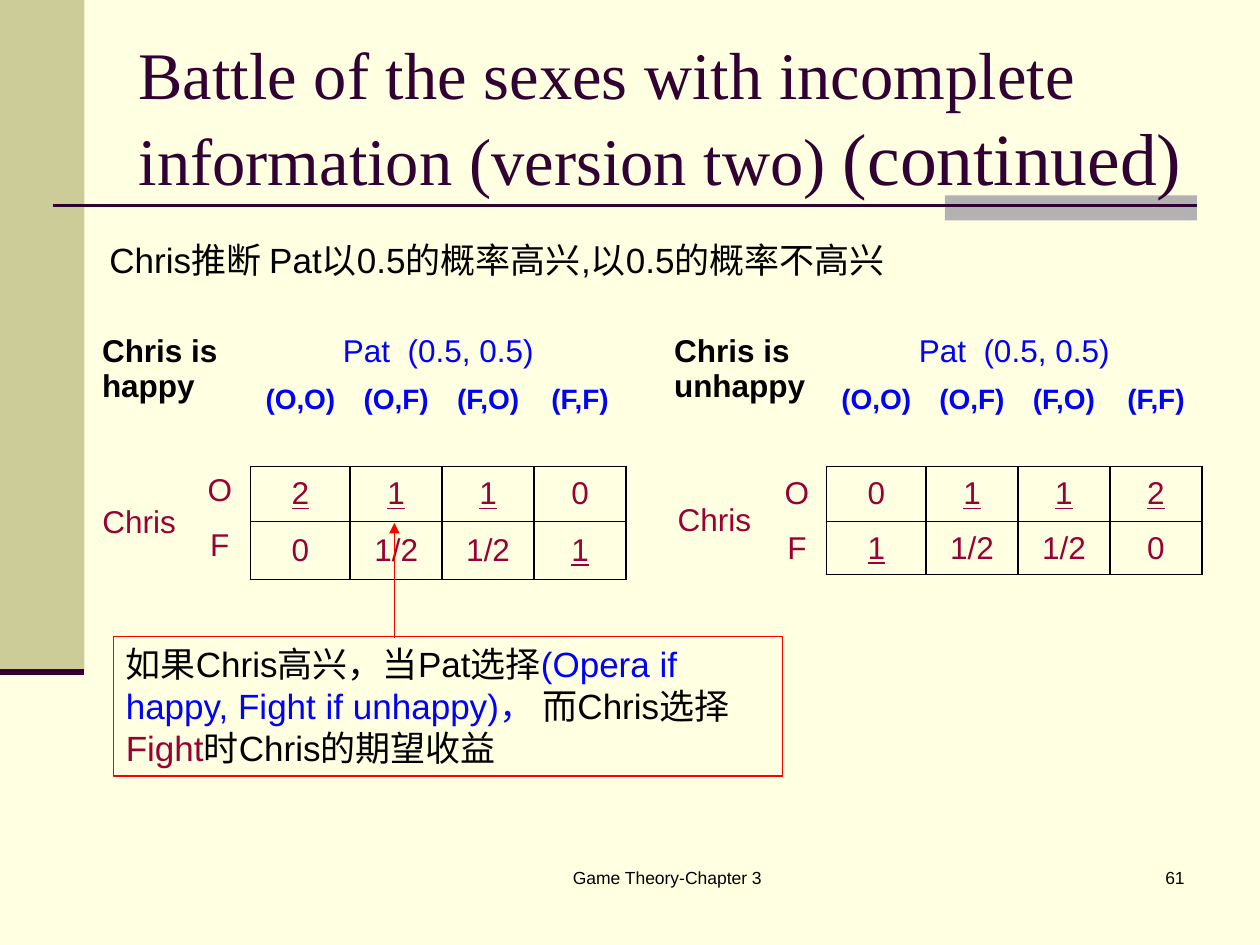
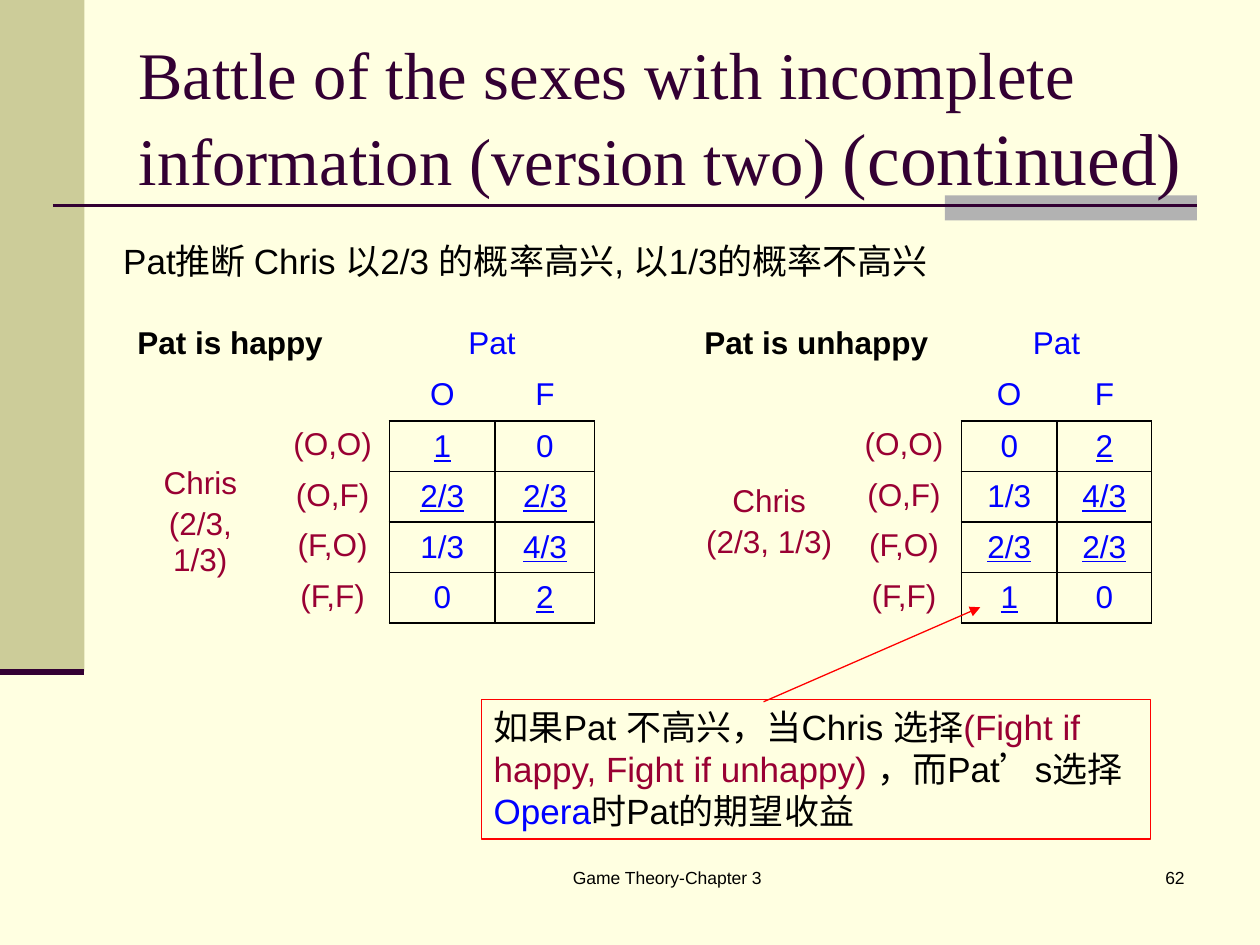
from lxml import etree
from pptx import Presentation
from pptx.dml.color import RGBColor
from pptx.enum import shapes, text
from pptx.oxml.ns import qn
from pptx.util import Inches, Pt

CREAM = RGBColor(0xFF, 0xFF, 0xE1)
OLIVE = RGBColor(0xCC, 0xCC, 0x99)
GRAY = RGBColor(0xB2, 0xB2, 0xB2)
PLUM = RGBColor(0x33, 0x00, 0x33)
BLACK = RGBColor(0x00, 0x00, 0x00)
BLUE = RGBColor(0x00, 0x00, 0xFF)
CRIMSON = RGBColor(0x99, 0x00, 0x33)
RED = RGBColor(0xFF, 0x00, 0x00)

BODY_FONT, TITLE_FONT = "Arial", "Times New Roman"
NO_STYLE = "{2D5ABB26-0587-4C30-8999-92F81FD0307C}"
LEFT, CENTER, RIGHT = (text.PP_ALIGN.LEFT, text.PP_ALIGN.CENTER,
                       text.PP_ALIGN.RIGHT)
TOP, MIDDLE = text.MSO_ANCHOR.TOP, text.MSO_ANCHOR.MIDDLE


def value(payoff):
    """Number behind a payoff such as 2 or 4/3."""
    top, _, bottom = payoff.partition("/")
    return int(top) / int(bottom or 1)


class Deck:
    def __init__(self):
        self.prs = Presentation()
        self.prs.slide_width, self.prs.slide_height = Inches(10), Inches(7.5)
        self.slide = None

    def new_slide(self, number):
        self.slide = self.prs.slides.add_slide(self.prs.slide_layouts[5])
        fill = self.slide.background.fill
        fill.solid()
        fill.fore_color.rgb = CREAM
        # Side band and title rule
        self.band(0, 0, 0.67, 5.33, OLIVE)
        self.band(7.5, 1.55, 2, 0.2, GRAY)
        self.line((0.42, 1.63), (9.5, 1.63), PLUM, 1.5)
        self.line((0, 5.33), (0.67, 5.33), PLUM, 3.5)
        self.title("Battle of the sexes with incomplete information "
                   "(version two) ", "(continued)")
        # Footer
        self.textbox(3.67, 6.83, 3.25, 0.5, "Game Theory-Chapter 3", 10, CENTER)
        self.textbox(7.42, 6.83, 2.08, 0.5, number, 10, RIGHT)

    def run(self, p, words, size, color=BLACK, bold=False, underline=False,
            font=BODY_FONT):
        r = p.add_run()
        r.text = words
        r.font.name, r.font.size = font, Pt(size)
        r.font.color.rgb = color
        r.font.bold, r.font.underline = bold, underline

    def title(self, main, suffix):
        sp = self.slide.shapes.title
        sp.left, sp.top = Inches(1), Inches(0.3)
        sp.width, sp.height = Inches(8.5), Inches(1.25)
        tf = sp.text_frame
        tf.auto_size = text.MSO_AUTO_SIZE.NONE
        tf.vertical_anchor = MIDDLE
        p = tf.paragraphs[0]
        p.alignment = LEFT
        self.run(p, main, 38, PLUM, font=TITLE_FONT)
        self.run(p, suffix, 42, PLUM, font=TITLE_FONT)
        # The title lies over the bands
        self.slide.shapes._spTree.append(sp._element)

    def band(self, x, y, w, h, color):
        sp = self.slide.shapes.add_shape(
            shapes.MSO_SHAPE.RECTANGLE, Inches(x), Inches(y), Inches(w), Inches(h))
        sp.shadow.inherit = False
        sp.fill.solid()
        sp.fill.fore_color.rgb = color
        sp.line.fill.background()

    def line(self, start, end, color, width, arrow=False):
        points = [Inches(v) for v in start + end]
        cx = self.slide.shapes.add_connector(
            shapes.MSO_CONNECTOR.STRAIGHT, *points)
        cx.line.color.rgb, cx.line.width = color, Pt(width)
        if arrow:
            etree.SubElement(cx.line._get_or_add_ln(), qn("a:tailEnd"),
                             type="triangle")
        etree.SubElement(cx._element.spPr, qn("a:effectLst"))

    def textbox(self, x, y, w, h, words, size=20, align=LEFT):
        sp = self.slide.shapes.add_textbox(
            Inches(x), Inches(y), Inches(w), Inches(h))
        tf = sp.text_frame
        tf.word_wrap = True
        p = tf.paragraphs[0]
        p.alignment = align
        self.run(p, words, size)

    def callout(self, x, y, parts, start, end):
        """Red box of coloured runs with an arrow to the payoff it explains."""
        sp = self.slide.shapes.add_shape(
            shapes.MSO_SHAPE.RECTANGLE, Inches(x), Inches(y),
            Inches(5.31), Inches(1.11))
        sp.shadow.inherit = False
        sp.fill.background()
        sp.line.color.rgb, sp.line.width = RED, Pt(0.75)
        tf = sp.text_frame
        tf.word_wrap = True
        tf.vertical_anchor = TOP
        p = tf.paragraphs[0]
        p.alignment = LEFT
        for words, color in parts:
            self.run(p, words, 20, color)
        self.line(start, end, RED, 0.75, arrow=True)

    def cell(self, cell, words, color, align=CENTER, anchor=TOP, size=18,
             bold=False, underline=False):
        cell.vertical_anchor = anchor
        tf = cell.text_frame
        for i, line in enumerate(words.split("\n")):
            p = tf.add_paragraph() if i else tf.paragraphs[0]
            p.alignment = align
            if i:
                p.space_before = Pt(3.6)
            self.run(p, line, size, color, bold, underline)

    def border(self, cell):
        tcPr = cell._tc.get_or_add_tcPr()
        for i, side in enumerate(("a:lnL", "a:lnR", "a:lnT", "a:lnB")):
            ln = etree.Element(qn(side), w=str(Pt(1)))
            fill = etree.SubElement(ln, qn("a:solidFill"))
            etree.SubElement(fill, qn("a:srgbClr"), val=str(BLACK))
            tcPr.insert(i, ln)

    def game(self, x, y, widths, heights, case, column_player, columns,
             row_player, rows, payoffs, color, best_in_row,
             column_style=None, label_anchor=TOP):
        """Payoff table; the best replies of the player are underlined."""
        frame = self.slide.shapes.add_table(
            len(heights), len(widths), Inches(x), Inches(y),
            Inches(sum(widths)), Inches(sum(heights)))
        tbl = frame.table
        tbl.first_row = tbl.horz_banding = False
        tbl._tbl.tblPr.find(qn("a:tableStyleId")).text = NO_STYLE
        for col, w in zip(tbl.columns, widths):
            col.width = Inches(w)
        for row, h in zip(tbl.rows, heights):
            row.height = Inches(h)
        for c in tbl.iter_cells():
            c.fill.background()
        # Headings
        last_row, last_col = len(heights) - 1, len(widths) - 1
        tbl.cell(0, 0).merge(tbl.cell(1, 1))
        tbl.cell(0, 2).merge(tbl.cell(0, last_col))
        tbl.cell(2, 0).merge(tbl.cell(last_row, 0))
        self.cell(tbl.cell(0, 0), case, BLACK, LEFT, bold=True)
        self.cell(tbl.cell(0, 2), column_player, BLUE)
        self.cell(tbl.cell(2, 0), row_player, CRIMSON, anchor=MIDDLE)
        for j, label in enumerate(columns, 2):
            self.cell(tbl.cell(1, j), label, BLUE, **(column_style or {}))
        for i, label in enumerate(rows, 2):
            self.cell(tbl.cell(i, 1), label, CRIMSON, anchor=label_anchor)
        # Payoffs
        grid = [line.split() for line in payoffs]
        for i, line in enumerate(grid):
            for j, payoff in enumerate(line):
                rivals = line if best_in_row else [other[j] for other in grid]
                best = value(payoff) == max(map(value, rivals))
                c = tbl.cell(i + 2, j + 2)
                self.cell(c, payoff, color, anchor=MIDDLE, underline=best)
                self.border(c)


def main():
    deck = Deck()
    moves = ["O", "F"]
    plans = ["(O,O)", "(O,F)", "(F,O)", "(F,F)"]

    # Chris's expected payoffs
    deck.new_slide("61")
    deck.textbox(0.77, 1.84, 8.24, 0.43,
                 "Chris推断 Pat以0.5的概率高兴,以0.5的概率不高兴")
    chris = dict(column_player="Pat  (0.5, 0.5)", columns=plans,
                 row_player="Chris", rows=moves, color=CRIMSON,
                 best_in_row=False, column_style=dict(size=16, bold=True))
    plan_widths = [0.79, 0.73, 0.73, 0.73]
    deck.game(5.25, 2.6, [0.84, 0.47] + plan_widths, [0.38, 0.66, 0.44, 0.42],
              "Chris is unhappy", payoffs=["0 1 1 2", "1 1/2 1/2 0"],
              label_anchor=MIDDLE, **chris)
    deck.game(0.71, 2.6, [0.79, 0.49] + plan_widths, [0.38, 0.69, 0.44, 0.46],
              "Chris is happy", payoffs=["2 1 1 0", "0 1/2 1/2 1"], **chris)
    deck.callout(0.9, 5.05, [
        ("如果Chris高兴，当Pat选择", BLACK),
        ("(Opera if happy, Fight if unhappy)， ", BLUE),
        ("而Chris选择", BLACK),
        ("Fight", CRIMSON),
        ("时Chris的期望收益", BLACK)], (3.13, 5.06), (3.13, 4.15))

    # Pat's expected payoffs
    deck.new_slide("62")
    deck.textbox(0.88, 1.85, 8.34, 0.43,
                 "Pat推断 Chris 以2/3 的概率高兴, 以1/3的概率不高兴")
    pat = dict(heights=[0.38] * 6, column_player="Pat", columns=moves,
               row_player="Chris\n(2/3, 1/3)", rows=plans, color=BLUE,
               best_in_row=True)
    deck.game(0.99, 2.54, [1.2, 0.9, 0.84, 0.79], case="Pat is happy",
              payoffs=["1 0", "2/3 2/3", "1/3 4/3", "0 2"], **pat)
    deck.game(5.49, 2.54, [1.23, 0.91, 0.76, 0.75], case="Pat is unhappy",
              payoffs=["0 2", "1/3 4/3", "2/3 2/3", "1 0"], **pat)
    deck.callout(3.82, 5.55, [
        ("如果Pat 不高兴，当Chris 选择", BLACK),
        ("(Fight if happy, Fight if unhappy)", CRIMSON),
        (" ，而Pat’s选择", BLACK),
        ("Opera", BLUE),
        ("时Pat的期望收益", BLACK)], (6.06, 5.57), (7.78, 4.82))

    deck.prs.save("out.pptx")


if __name__ == "__main__":
    main()
